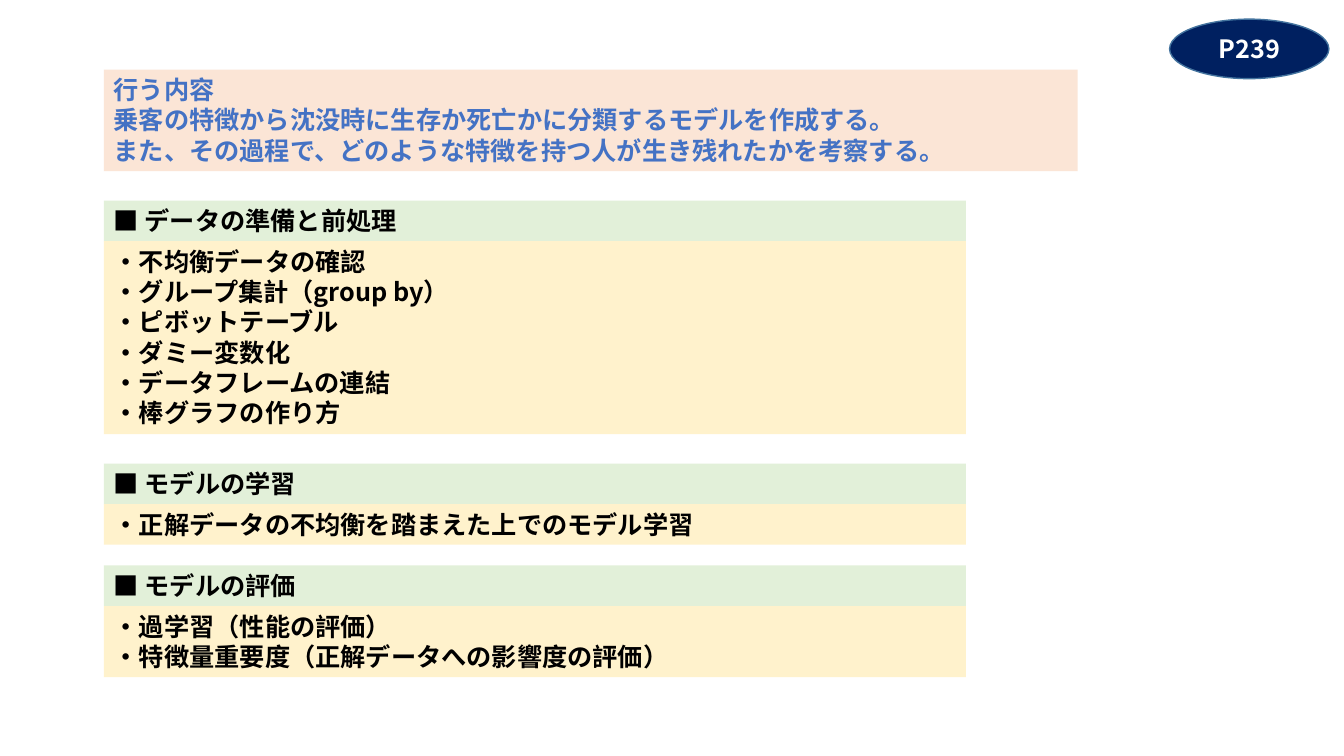
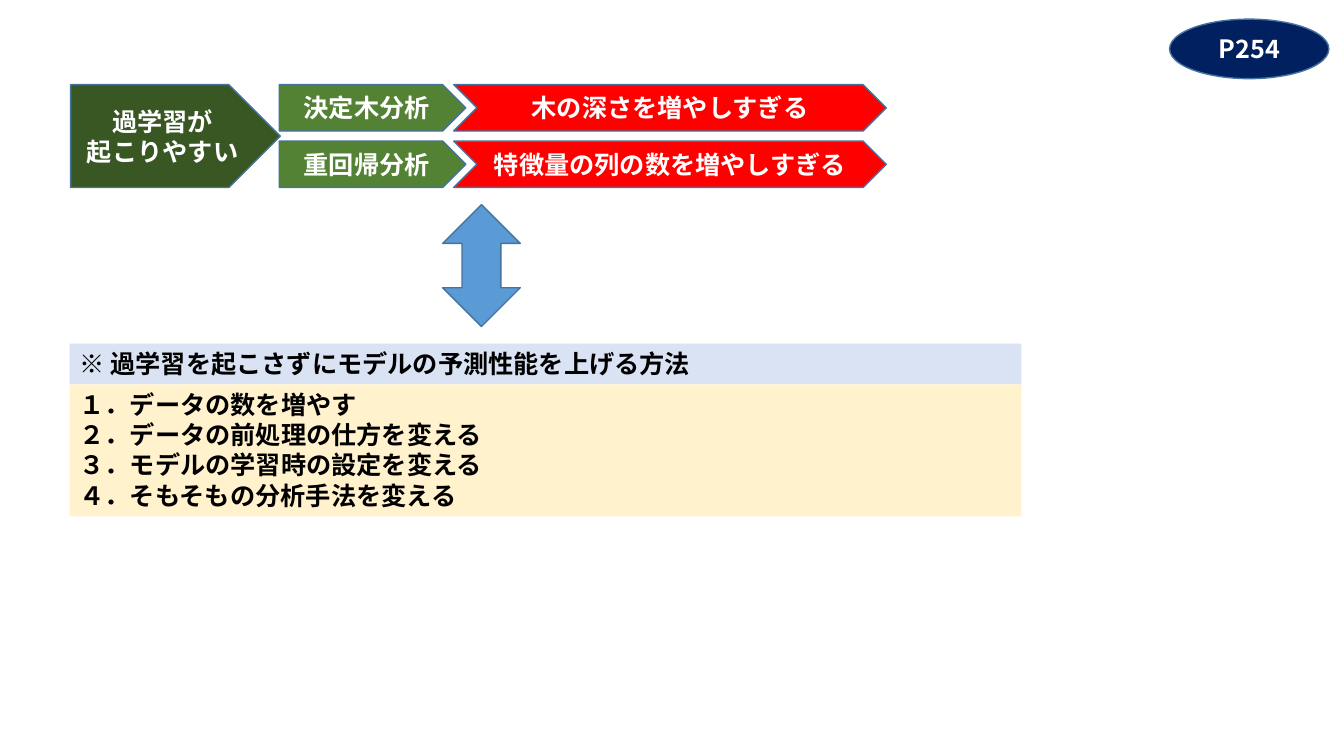
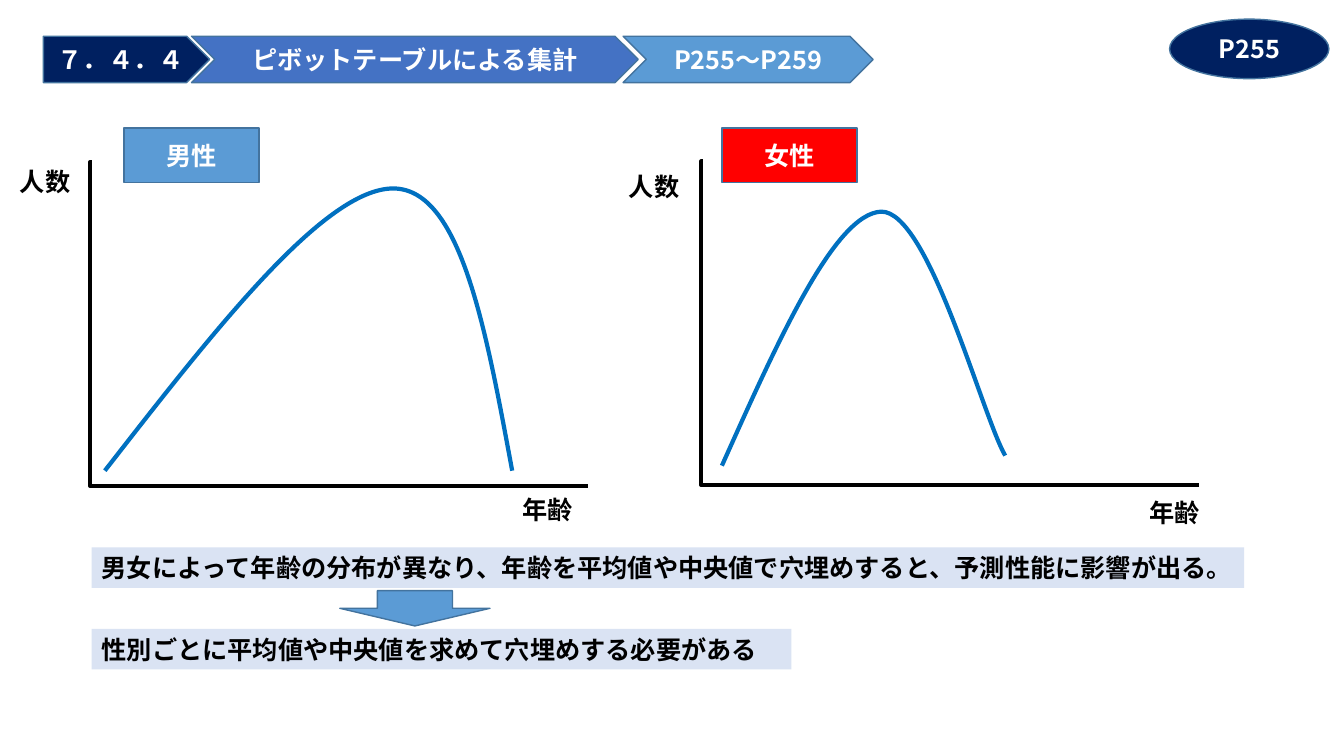
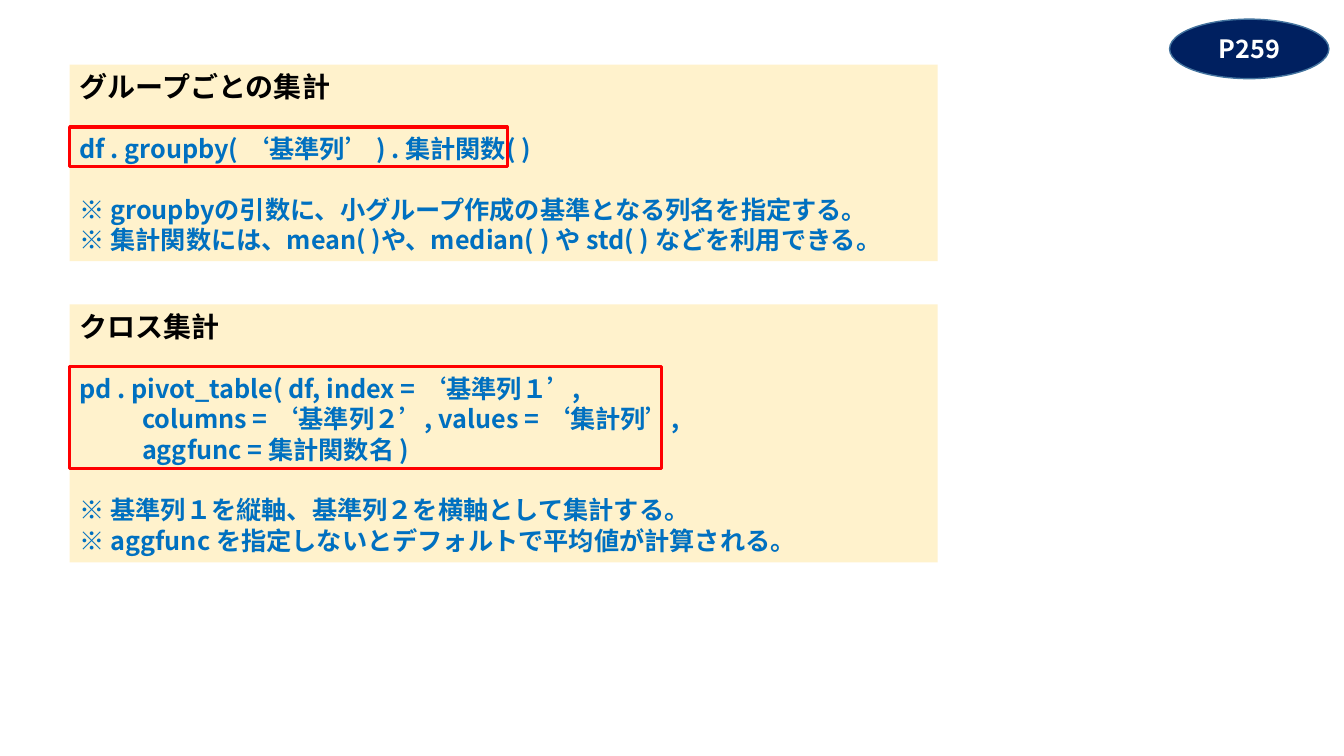
from lxml import etree
from pptx import Presentation
from pptx.dml.color import RGBColor
from pptx.enum.shapes import MSO_CONNECTOR, MSO_SHAPE
from pptx.enum.text import MSO_ANCHOR, PP_ALIGN
from pptx.oxml.ns import qn
from pptx.util import Inches, Pt

RECTANGLE, OVAL = MSO_SHAPE.RECTANGLE, MSO_SHAPE.OVAL
PENTAGON, CHEVRON = MSO_SHAPE.PENTAGON, MSO_SHAPE.CHEVRON
DOWN_ARROW, UP_DOWN_ARROW = MSO_SHAPE.DOWN_ARROW, MSO_SHAPE.UP_DOWN_ARROW
ELBOW = MSO_CONNECTOR.ELBOW
LEFT, CENTER = PP_ALIGN.LEFT, PP_ALIGN.CENTER
TOP, MIDDLE = MSO_ANCHOR.TOP, MSO_ANCHOR.MIDDLE

COLORS = {
    "white": "FFFFFF", "black": "000000", "navy": "002060", "outline": "43739E",
    "blue": "4472C4", "sky": "5B9BD5", "curve": "0070C0", "pale_blue": "DAE3F3",
    "peach": "FBE5D6", "cream": "FFF2CC", "mint": "E2F0D9",
    "forest": "385723", "green": "548235", "red": "FF0000",
}
FONT, HEADER_FONT = "Noto Sans CJK JP", "Courier New"
TEXT_SIZE, HEADING_SIZE = 18, 20
LINE_HEIGHT = TEXT_SIZE * 1.21 / 72
PADDING = 0.1
BAND_HEIGHT = LINE_HEIGHT + PADDING
ARROW_HEIGHT = 0.46

GOAL = [
    "行う内容",
    "乗客の特徴から沈没時に生存か死亡かに分類するモデルを作成する。",
    "また、その過程で、どのような特徴を持つ人が生き残れたかを考察する。",
]
STEPS = [  # top, header, items
    (1.99, "■ データの準備と前処理", [
        "・不均衡データの確認", "・グループ集計（group by）", "・ピボットテーブル",
        "・ダミー変数化", "・データフレームの連結", "・棒グラフの作り方"]),
    (4.6, "■ モデルの学習", ["・正解データの不均衡を踏まえた上でのモデル学習"]),
    (5.61, "■ モデルの評価", [
        "・過学習（性能の評価）", "・特徴量重要度（正解データへの影響度の評価）"]),
]
OVERFIT = ["過学習が", "起こりやすい"]
OVERFIT_CAUSES = [
    ("決定木分析", "木の深さを増やしすぎる"),
    ("重回帰分析", "特徴量の列の数を増やしすぎる"),
]
REMEDY_HEADER = "※ 過学習を起こさずにモデルの予測性能を上げる方法"
REMEDIES = [
    "１．データの数を増やす", "２．データの前処理の仕方を変える",
    "３．モデルの学習時の設定を変える", "４．そもそもの分析手法を変える",
]
BREADCRUMB = [  # shape, left, width, fill, text
    (PENTAGON, 0.43, 1.65, "navy", "７．４．４"),
    (CHEVRON, 1.9, 4.43, "blue", "ピボットテーブルによる集計"),
    (CHEVRON, 6.18, 2.48, "sky", "P255～P259"),
]
DISTRIBUTIONS = [
    {"name": "男性", "fill": "sky", "tag": 1.23, "axis": (0.91, 1.61),
     "count": (0.1, 1.6), "age": (5.08, 4.85),
     "curve": [(1.04, 4.67), (2.13, 3.27), (3.22, 1.87), (3.9, 1.87),
               (4.57, 1.87), (4.82, 3.27), (5.08, 4.67)]},
    {"name": "女性", "fill": "red", "tag": 7.16, "axis": (6.97, 1.6),
     "count": (6.14, 1.65), "age": (11.3, 4.88),
     "curve": [(7.16, 4.62), (7.72, 3.37), (8.28, 2.12), (8.74, 2.1),
               (9.21, 2.09), (9.74, 4.12), (9.97, 4.52)]},
]
FINDINGS = [  # top, width, text
    (5.43, 11.43, "男女によって年齢の分布が異なり、年齢を平均値や中央値で穴埋めすると、予測性能に影響が出る。"),
    (6.24, 6.94, "性別ごとに平均値や中央値を求めて穴埋めする必要がある"),
]
RECIPES = [
    {"top": 0.64, "height": 1.95, "frame": (4.34, 0.39),
     "title": "グループごとの集計",
     "code": ["df . groupby( ‘基準列’ ) . 集計関数( )"],
     "notes": ["※ groupbyの引数に、小グループ作成の基準となる列名を指定する。",
               "※ 集計関数には、mean( )や、median( ) や std( ) などを利用できる。"]},
    {"top": 3.02, "height": 2.56, "frame": (5.87, 1.01),
     "title": "クロス集計",
     "code": ["pd . pivot_table( df, index = ‘基準列１’,",
              "columns = ‘基準列２’, values = ‘集計列’,",
              "aggfunc = 集計関数名 )"],
     "notes": ["※ 基準列１を縦軸、基準列２を横軸として集計する。",
               "※ aggfunc を指定しないとデフォルトで平均値が計算される。"]},
]


def rgb(name):
    return RGBColor.from_string(COLORS[name])


def style(para, color, font=FONT, size=TEXT_SIZE, align=LEFT):
    para.alignment = align
    para.font.name = font
    para.font.size = Pt(size)
    para.font.bold = True
    para.font.color.rgb = rgb(color)
    latin = para.font._element.find(qn("a:latin"))
    east_asian = etree.Element(qn("a:ea"), typeface=FONT)
    latin.addnext(east_asian)


def write(shape, lines, color, font=FONT, align=LEFT, anchor=TOP):
    frame = shape.text_frame
    frame.word_wrap = True
    frame.vertical_anchor = anchor
    frame.text = "\n".join(lines)
    for para in frame.paragraphs:
        style(para, color, font, align=align)


def add_box(slide, kind, left, top, width, height, fill=None, line=None, weight=1):
    box = slide.shapes.add_shape(
        kind, Inches(left), Inches(top), Inches(width), Inches(height))
    box.shadow.inherit = False
    if fill:
        box.fill.solid()
        box.fill.fore_color.rgb = rgb(fill)
    else:
        box.fill.background()
    if line:
        box.line.color.rgb = rgb(line)
        box.line.width = Pt(weight)
    else:
        box.line.fill.background()
    return box


def add_label(slide, kind, left, top, width, height, fill, *lines):
    """Outlined shape with centred white text."""
    box = add_box(slide, kind, left, top, width, height, fill, "outline")
    write(box, lines, "white", align=CENTER, anchor=MIDDLE)


def add_panel(slide, left, top, width, fill, lines, color="black", font=FONT):
    """Plain filled box as tall as its lines."""
    height = len(lines) * LINE_HEIGHT + PADDING
    write(add_box(slide, RECTANGLE, left, top, width, height, fill), lines, color, font)


def add_card(slide, left, top, width, header_fill, header, items, font=FONT):
    add_panel(slide, left, top, width, header_fill, [header], font=HEADER_FONT)
    add_panel(slide, left, top + BAND_HEIGHT, width, "cream", items, font=font)


def add_caption(slide, position, text):
    left, top = position
    box = slide.shapes.add_textbox(
        Inches(left), Inches(top), Inches(1.9), Inches(BAND_HEIGHT))
    write(box, [text], "black")


def add_axes(slide, left, top):
    """L-shaped pair of axes, drawn as one elbow connector."""
    axes = slide.shapes.add_connector(
        ELBOW, Inches(left), Inches(top), Inches(left + 4.92), Inches(top + 3.21))
    axes.line.color.rgb = rgb("black")
    axes.line.width = Pt(3)
    properties = axes._element.spPr
    etree.SubElement(properties, qn("a:effectLst"))
    guides = properties.find(qn("a:prstGeom")).find(qn("a:avLst"))
    etree.SubElement(guides, qn("a:gd"), name="adj1", fmla="val -300")


def add_curve(slide, points):
    """Open Bézier curve: a start point, then three points for each segment."""
    start, *rest = [(Inches(x), Inches(y)) for x, y in points]
    builder = slide.shapes.build_freeform(*start)
    builder.add_line_segments(rest, close=False)
    curve = builder.convert_to_shape()
    curve.shadow.inherit = False
    curve.fill.background()
    curve.line.color.rgb = rgb("curve")
    curve.line.width = Pt(3)
    outline = curve._element.find(".//" + qn("a:path"))
    segments = outline.findall(qn("a:lnTo"))
    for first in range(0, len(segments), 3):
        bezier = etree.SubElement(outline, qn("a:cubicBezTo"))
        for segment in segments[first:first + 3]:
            bezier.append(segment[0])
            outline.remove(segment)


def add_page(deck, number):
    slide = deck.slides.add_slide(deck.slide_layouts[6])
    add_label(slide, OVAL, 11.6, 0.19, 1.58, 0.59, "navy", number)
    return slide


def build_overview(slide):
    left = 1.03
    add_panel(slide, left, 0.69, 9.66, "peach", GOAL, "blue")
    for top, header, items in STEPS:
        add_card(slide, left, top, 8.55, "mint", header, items)


def build_overfitting(slide):
    top, step = 0.84, 0.56
    add_label(slide, PENTAGON, 0.7, top, 2.08, step + ARROW_HEIGHT, "forest", *OVERFIT)
    for row, (method, cause) in enumerate(OVERFIT_CAUSES):
        row_top = top + row * step
        add_label(slide, PENTAGON, 2.77, row_top, 1.85, ARROW_HEIGHT, "green", method)
        add_label(slide, CHEVRON, 4.5, row_top, 4.29, ARROW_HEIGHT, "red", cause)
    add_box(slide, UP_DOWN_ARROW, 4.39, 2.03, 0.77, 1.21, "sky", "outline")
    add_card(slide, 0.69, 3.41, 9.44, "pale_blue", REMEDY_HEADER, REMEDIES, HEADER_FONT)


def build_distributions(slide):
    for kind, left, width, fill, text in BREADCRUMB:
        add_label(slide, kind, left, 0.36, width, ARROW_HEIGHT, fill, text)
    for group in DISTRIBUTIONS:
        add_axes(slide, *group["axis"])
        add_caption(slide, group["count"], "人数")
        add_caption(slide, group["age"], "年齢")
        add_curve(slide, group["curve"])
        add_label(slide, RECTANGLE, group["tag"], 1.27, 1.34, 0.54,
                  group["fill"], group["name"])
    for top, width, text in FINDINGS:
        add_panel(slide, 0.91, top, width, "pale_blue", [text])
    add_box(slide, DOWN_ARROW, 3.37, 5.86, 1.49, 0.35, "sky", "outline")


def build_recipes(slide):
    left = 0.69
    for recipe in RECIPES:
        code, notes = recipe["code"], recipe["notes"]
        box = add_box(slide, RECTANGLE, left, recipe["top"], 8.61, recipe["height"], "cream")
        write(box, [recipe["title"], *code, *notes], "curve")
        paras = box.text_frame.paragraphs
        style(paras[0], "black", size=HEADING_SIZE)
        for block_start in (1, 1 + len(code)):
            paras[block_start].space_before = Inches(LINE_HEIGHT)
        for para in paras[2:1 + len(code)]:
            para._p.get_or_add_pPr().set("marL", str(Inches(0.62)))
        add_box(slide, RECTANGLE, left, recipe["top"] + 0.62, *recipe["frame"],
                line="red", weight=2.25)


PAGES = [
    ("P239", build_overview),
    ("P254", build_overfitting),
    ("P255", build_distributions),
    ("P259", build_recipes),
]


def main():
    deck = Presentation()
    deck.slide_width, deck.slide_height = Inches(13.33), Inches(7.5)
    for number, build in PAGES:
        build(add_page(deck, number))
    deck.save("out.pptx")


if __name__ == "__main__":
    main()
